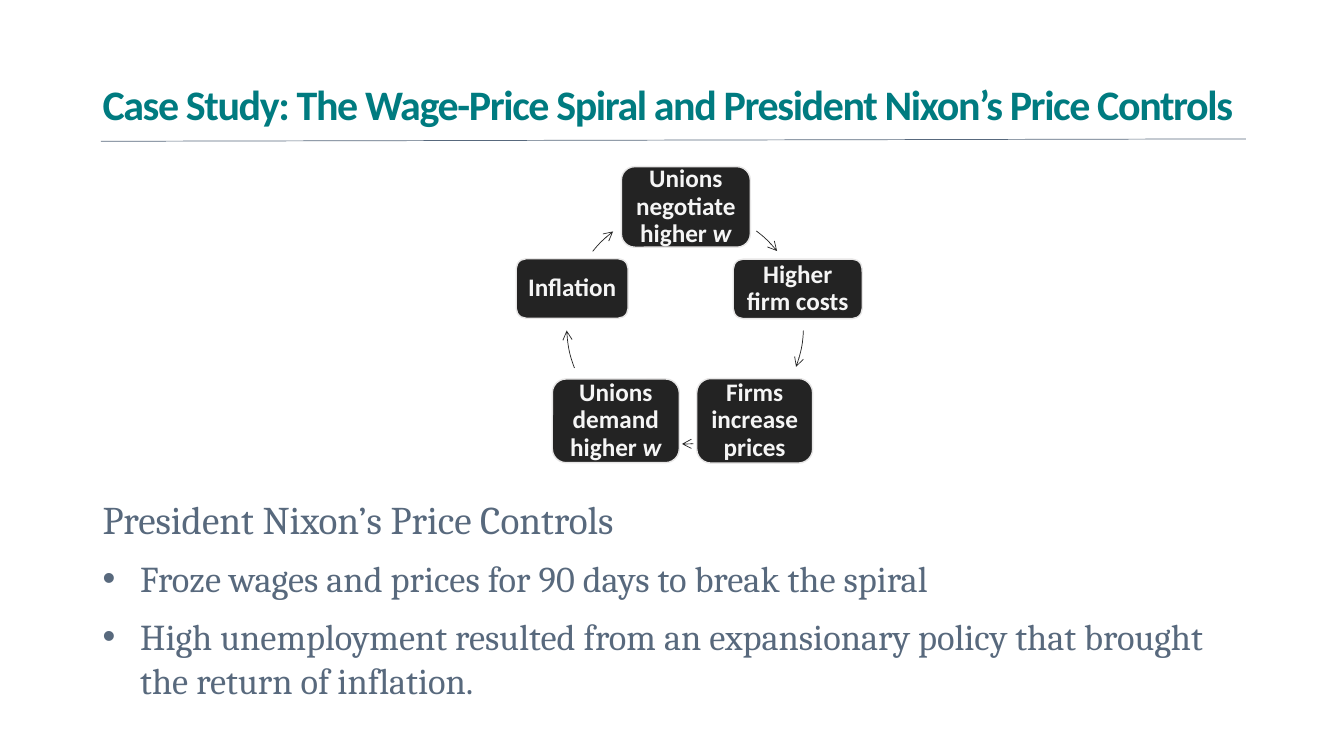
from lxml import etree
from pptx import Presentation
from pptx.dml.color import RGBColor
from pptx.enum.shapes import MSO_CONNECTOR, MSO_SHAPE
from pptx.enum.text import MSO_ANCHOR, MSO_AUTO_SIZE, PP_ALIGN
from pptx.oxml.ns import qn
from pptx.util import Cm, Pt

STRAIGHT = MSO_CONNECTOR.STRAIGHT
ROUNDED, ARC = MSO_SHAPE.ROUNDED_RECTANGLE, MSO_SHAPE.ARC
TOP, MIDDLE = MSO_ANCHOR.TOP, MSO_ANCHOR.MIDDLE
LEFT, CENTER = PP_ALIGN.LEFT, PP_ALIGN.CENTER
NO_FIT = MSO_AUTO_SIZE.NONE

TEAL, SLATE, BLACK, PALE, WHITE = "007B80", "58697D", "232323", "E7E6E6", "F5F5F5"
CYCLE_BOX = (14.28, 5.22, 5.97, 5.97)
STEPS = [
    ("Unions negotiate higher ", "w", (15.66, 4.2, 3.25, 2.03), (307, 321)),
    ("Higher firm costs", "", (18.48, 6.53, 3.25, 1.5), (2.4, 20.4)),
    ("Firms increase prices", "", (17.56, 9.54, 2.92, 2.13), (86, 91.5)),
    ("Unions demand higher ", "w", (13.92, 9.55, 3.2, 2.11), (159, 177.6)),
    ("Inflation", "", (13.01, 6.52, 2.82, 1.5), (218.8, 232.6)),
]
HEADING = "President Nixon’s Price Controls"
BULLETS = [
    "Froze wages and prices for 90 days to break the spiral",
    "High unemployment resulted from an expansionary policy that brought "
    "the return of inflation.",
]


def rgb(value):
    """Turn a hex string into a colour."""
    return RGBColor.from_string(value)


def box(values):
    """Turn left, top, width and height in centimetres into lengths."""
    return [Cm(v) for v in values]


def style_run(r, size, font, color, bold=False, italic=False):
    """Set the font of one run."""
    r.font.size, r.font.name = Pt(size), font
    r.font.bold, r.font.italic = bold, italic
    r.font.color.rgb = rgb(color)


def place(sp, values, anchor):
    """Move a placeholder and fix its text frame."""
    sp.left, sp.top, sp.width, sp.height = box(values)
    tf = sp.text_frame
    tf.auto_size, tf.word_wrap, tf.vertical_anchor = NO_FIT, True, anchor
    return tf


def set_bullet(p, char, color):
    """Give a paragraph a hanging bullet, or none if char is empty."""
    pPr = p._p.get_or_add_pPr()
    indent = Cm(0.95) if char else Cm(0)
    pPr.set("marL", str(indent))
    pPr.set("indent", str(-indent))
    if not char:
        etree.SubElement(pPr, qn("a:buNone"))
        return
    clr = etree.SubElement(pPr, qn("a:buClr"))
    etree.SubElement(clr, qn("a:srgbClr")).set("val", color)
    etree.SubElement(pPr, qn("a:buFont")).set("typeface", "Arial")
    etree.SubElement(pPr, qn("a:buChar")).set("char", char)


def add_title(s, text):
    """Fill the title placeholder and draw the rule under it."""
    tf = place(s.shapes.title, (2.33, 1.83, 29.21, 1.73), MIDDLE)
    tf.text = text
    p = tf.paragraphs[0]
    p.alignment, p.line_spacing = LEFT, 0.9
    style_run(p.runs[0], 30, "Calibri", TEAL, bold=True)
    p.runs[0].font._element.set("spc", "-100")
    rule = s.shapes.add_connector(STRAIGHT, Cm(2.54), Cm(3.56), Cm(31.4), Cm(3.5))
    rule.line.color.rgb, rule.line.width = rgb(SLATE), Pt(0.5)
    etree.SubElement(rule._element.spPr, qn("a:effectLst"))


def add_body(s, heading, bullets):
    """Fill the body placeholder with a heading and a bullet list."""
    tf = place(s.placeholders[1], (2.33, 12.24, 29.64, 6.15), TOP)
    tf.text = "\n".join([heading, *bullets])
    for i, p in enumerate(tf.paragraphs):
        p.level = 1 if i else 0
        set_bullet(p, "•" if i else "", SLATE)
        p.line_spacing = 1.0 if i else 1.1
        p.space_before = Pt(10 if i else 0)
        style_run(p.runs[0], 26 if i else 28, "Cambria", SLATE)


def add_step(s, text, symbol, values):
    """Add one rounded box of the cycle, with an italic symbol at its end."""
    sp = s.shapes.add_shape(ROUNDED, *box(values))
    sp.shadow.inherit = False
    sp.fill.solid()
    sp.fill.fore_color.rgb = rgb(BLACK)
    sp.line.color.rgb, sp.line.width = rgb(PALE), Pt(1)
    tf = sp.text_frame
    tf.word_wrap, tf.vertical_anchor = True, MIDDLE
    tf.margin_left = tf.margin_right = tf.margin_top = tf.margin_bottom = Cm(0.18)
    p = tf.paragraphs[0]
    p.alignment, p.line_spacing = CENTER, 0.9
    for part, italic in ((text, False), (symbol, True)):
        if part:
            r = p.add_run()
            r.text = part
            style_run(r, 18, "Calibri", WHITE, bold=True, italic=italic)


def add_arc_arrow(s, angles):
    """Add an arrow along the cycle's circle between two angles in degrees."""
    sp = s.shapes.add_shape(ARC, *box(CYCLE_BOX))
    sp.shadow.inherit = False
    sp.fill.background()
    for i, degrees in enumerate(angles):
        sp.adjustments[i] = degrees * 60000 / 100000
    sp.line.color.rgb, sp.line.width = rgb(BLACK), Pt(0.5)
    etree.SubElement(sp.line._get_or_add_ln(), qn("a:tailEnd")).set("type", "arrow")


def main():
    """Build the slide and save it."""
    prs = Presentation()
    prs.slide_width, prs.slide_height = Cm(33.87), Cm(19.05)
    s = prs.slides.add_slide(prs.slide_layouts[1])
    add_title(s, "Case Study: The Wage-Price Spiral and President Nixon’s Price Controls")
    add_body(s, HEADING, BULLETS)
    for text, symbol, values, angles in STEPS:
        add_step(s, text, symbol, values)
        add_arc_arrow(s, angles)
    prs.save("out.pptx")


if __name__ == "__main__":
    main()
